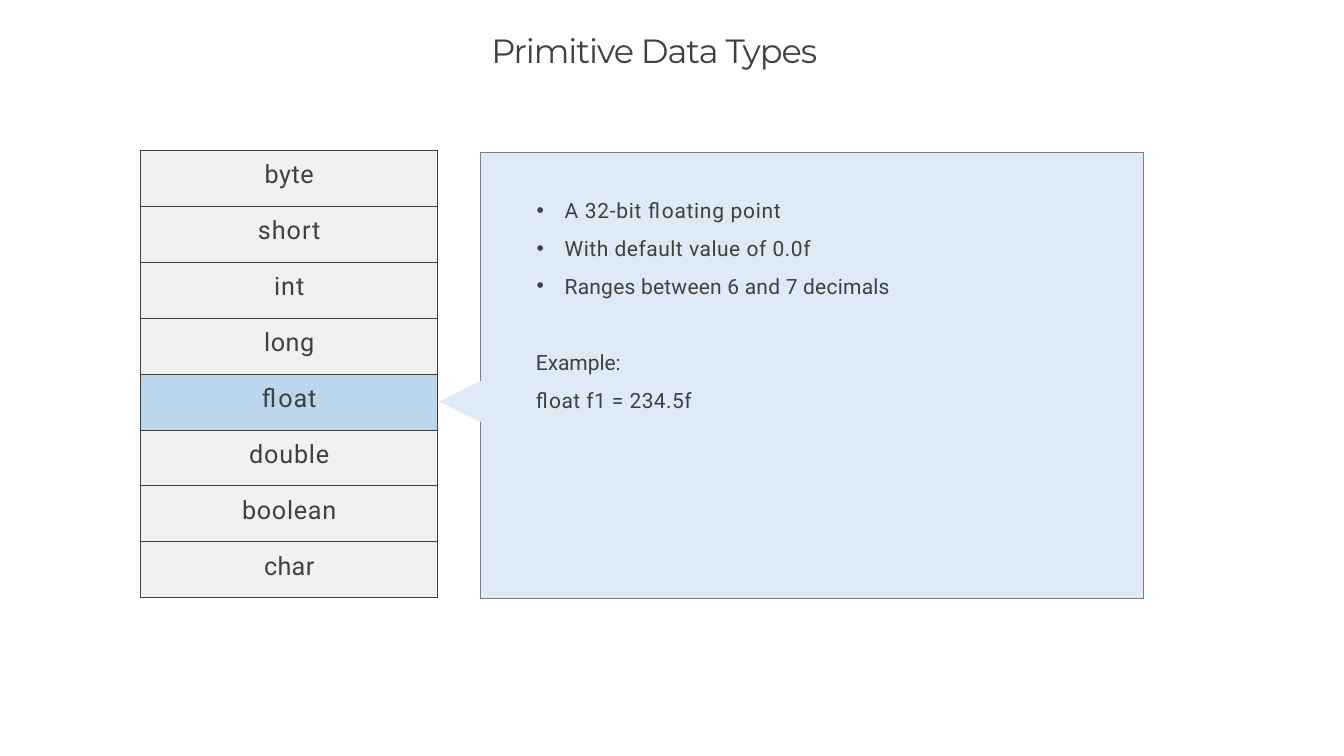
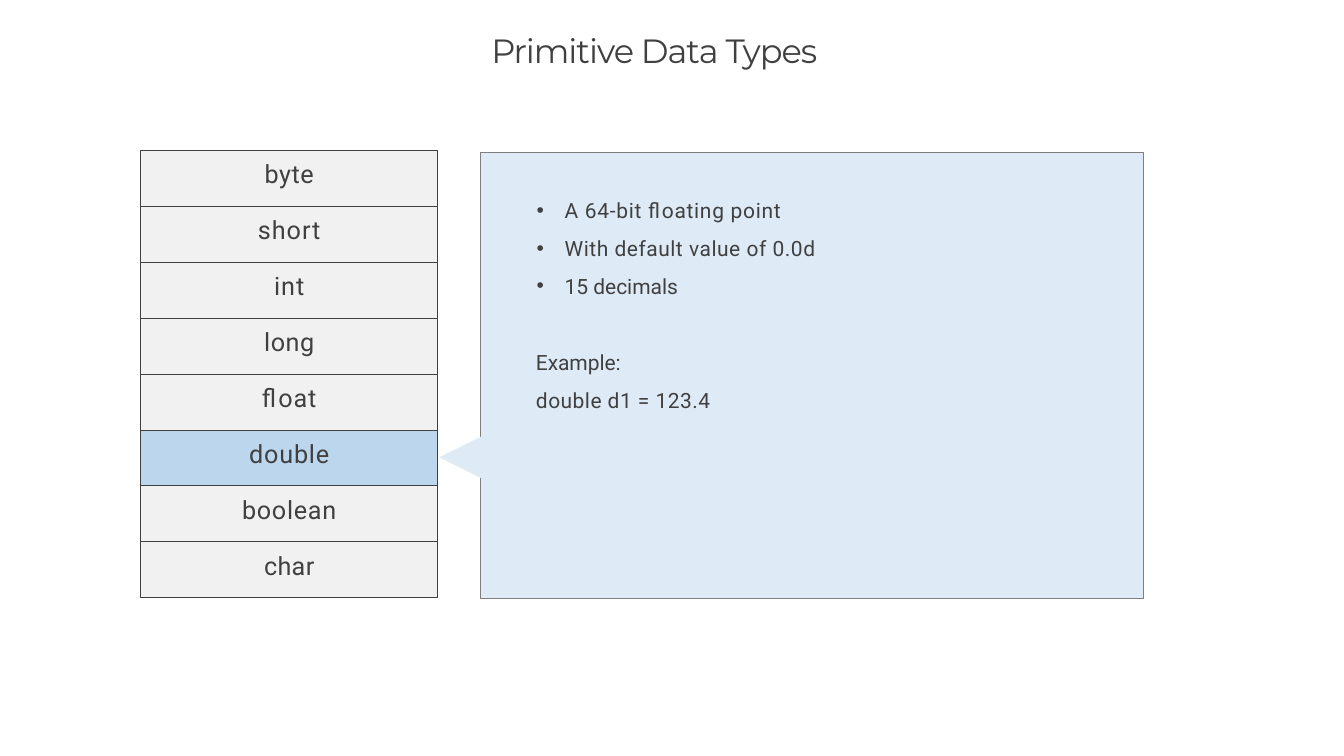
import pptx
import pptx.dml.color
import pptx.enum.shapes
import pptx.enum.text
import pptx.oxml
import pptx.util
from lxml import etree

Pt = pptx.util.Pt
MSO_SHAPE = pptx.enum.shapes.MSO_SHAPE
PP_ALIGN = pptx.enum.text.PP_ALIGN
MSO_ANCHOR = pptx.enum.text.MSO_ANCHOR

# Shared geometry, in points
TABLE_LEFT, TABLE_TOP, TABLE_WIDTH, ROW_HEIGHT = 134, 143.2, 283, 53.25
PANEL = (457.9, 145.4, 631.8, 424.8)
POINTER_TIP, POINTER_BASE, POINTER_HALF = 418.3, 478, 29.5

# Data type names with their letter spacing
TYPE_NAMES = [("byte", 0.5), ("short", 0.9), ("int", 0.9), ("long", 0.5),
              ("float", 0.8), ("double", 0.8), ("boolean", 0.7), ("char", 0.3)]

# For each slide: highlighted type, bullets and example, with letter spacing
SLIDES = [
    ("float",
     [("A 32-bit floating point", 0.64), ("With default value of 0.0f", 0.48),
      ("Ranges between 6 and 7 decimals", 0.2)],
     ("float f1 = 234.5f", 0.4)),
    ("double",
     [("A 64-bit floating point", 0.64), ("With default value of 0.0d", 0.48),
      ("15 decimals", -0.07)],
     ("double d1 = 123.4", 0.42)),
]


def color(hex_string):
    return pptx.dml.color.RGBColor.from_string(hex_string)


class Deck:
    """Holds the style, the presentation and the current slide."""

    TEXT, BORDER, PANEL_LINE = "404040", "404040", "7E7E7E"
    ROW_FILL, ACTIVE_FILL, PANEL_FILL = "F1F1F1", "BCD6ED", "DEEBF7"
    TITLE_FONT, BODY_FONT = "Montserrat", "Roboto"

    def __init__(self):
        self.presentation = pptx.Presentation()
        self.presentation.slide_width = Pt(1280.16)
        self.presentation.slide_height = Pt(720)
        self.slide = None

    def add_slide(self):
        layout = self.presentation.slide_layouts[1]
        self.slide = self.presentation.slides.add_slide(layout)

    def set_text(self, paragraph, text, size, font_name, spacing, before=0):
        run = paragraph.add_run()
        run.text = text
        run.font._element.set("spc", str(round(spacing * 100)))
        paragraph.font.size = Pt(size)
        paragraph.font.name = font_name
        paragraph.font.color.rgb = color(self.TEXT)
        paragraph.space_before = Pt(before)

    def place(self, placeholder, left, top, width, height, inset_top):
        """Move a placeholder to the front and strip its margins."""
        placeholder.left, placeholder.top = Pt(left), Pt(top)
        placeholder.width, placeholder.height = Pt(width), Pt(height)
        self.slide.shapes._spTree.append(placeholder._element)
        frame = placeholder.text_frame
        frame.margin_left = frame.margin_right = frame.margin_bottom = 0
        frame.margin_top = Pt(inset_top)
        frame.vertical_anchor = MSO_ANCHOR.TOP
        frame.auto_size = pptx.enum.text.MSO_AUTO_SIZE.NONE
        frame.word_wrap = True
        return frame

    def title(self, text):
        frame = self.place(self.slide.shapes.title, 468, 27.4, 345, 40.3, 0.7)
        paragraph = frame.paragraphs[0]
        paragraph.alignment = PP_ALIGN.LEFT
        self.set_text(paragraph, text, 32, self.TITLE_FONT, -0.98)

    def paint(self, shape, fill, line=None):
        shape.shadow.inherit = False
        shape.fill.solid()
        shape.fill.fore_color.rgb = color(fill)
        if line:
            shape.line.color.rgb = color(line)
            shape.line.width = Pt(0.96)
        else:
            shape.line.fill.background()

    def panel(self):
        bounds = [Pt(length) for length in PANEL]
        shape = self.slide.shapes.add_shape(MSO_SHAPE.RECTANGLE, *bounds)
        self.paint(shape, self.PANEL_FILL, self.PANEL_LINE)

    def pointer(self, row):
        middle = TABLE_TOP + (row + 0.5) * ROW_HEIGHT - 0.5
        builder = self.slide.shapes.build_freeform(
            Pt(POINTER_BASE), Pt(middle - POINTER_HALF))
        builder.add_line_segments([
            (Pt(POINTER_TIP), Pt(middle)),
            (Pt(POINTER_BASE), Pt(middle + POINTER_HALF))])
        self.paint(builder.convert_to_shape(), self.PANEL_FILL)

    def description(self, bullets, example):
        frame = self.place(self.slide.placeholders[1], 509.8, 175, 400, 218, 13)
        lines = [(text, spacing, 12, True) for text, spacing in bullets]
        lines += [("Example:", -0.1, 49, False), (*example, 12, False)]
        for index, (text, spacing, before, bulleted) in enumerate(lines):
            paragraph = frame.add_paragraph() if index else frame.paragraphs[0]
            self.set_text(paragraph, text, 20, self.BODY_FONT, spacing,
                          before if index else 13)
            self.bullet(paragraph, bulleted)

    def bullet(self, paragraph, bulleted):
        properties = paragraph._p.get_or_add_pPr()
        properties.set("marL", str(Pt(28 if bulleted else 0.7)))
        properties.set("indent", str(Pt(-26.6 if bulleted else 0)))
        tag = "a:buChar" if bulleted else "a:buNone"
        element = etree.Element(pptx.oxml.ns.qn(tag))
        if bulleted:
            element.set("char", "•")
        properties.find(pptx.oxml.ns.qn("a:defRPr")).addprevious(element)

    def type_table(self, active_row):
        frame = self.slide.shapes.add_table(
            len(TYPE_NAMES), 1, Pt(TABLE_LEFT), Pt(TABLE_TOP),
            Pt(TABLE_WIDTH), Pt(ROW_HEIGHT * len(TYPE_NAMES)))
        table = frame.table
        table.first_row = table.horz_banding = False
        for row, (name, spacing) in enumerate(TYPE_NAMES):
            table.rows[row].height = Pt(ROW_HEIGHT)
            cell = table.cell(row, 0)
            cell.margin_left = cell.margin_right = cell.margin_bottom = 0
            cell.margin_top = Pt(9.6)
            cell.vertical_anchor = MSO_ANCHOR.TOP
            cell.fill.solid()
            cell.fill.fore_color.rgb = color(
                self.ACTIVE_FILL if row == active_row else self.ROW_FILL)
            self.cell_borders(cell)
            paragraph = cell.text_frame.paragraphs[0]
            paragraph.alignment = PP_ALIGN.CENTER
            self.set_text(paragraph, name, 24, self.BODY_FONT, spacing, 9.6)

    def cell_borders(self, cell):
        properties = cell._tc.get_or_add_tcPr()
        for index, side in enumerate(("lnL", "lnR", "lnT", "lnB")):
            border = pptx.oxml.parse_xml(
                f'<a:{side} {pptx.oxml.ns.nsdecls("a")} w="{Pt(0.75)}">'
                f'<a:solidFill><a:srgbClr val="{self.BORDER}"/></a:solidFill>'
                f'</a:{side}>')
            properties.insert(index, border)


def main():
    deck = Deck()
    names = [name for name, _ in TYPE_NAMES]
    for active_name, bullets, example in SLIDES:
        active_row = names.index(active_name)
        deck.add_slide()
        deck.panel()
        deck.pointer(active_row)
        deck.description(bullets, example)
        deck.type_table(active_row)
        deck.title("Primitive Data Types")
    deck.presentation.save("out.pptx")


if __name__ == "__main__":
    main()
